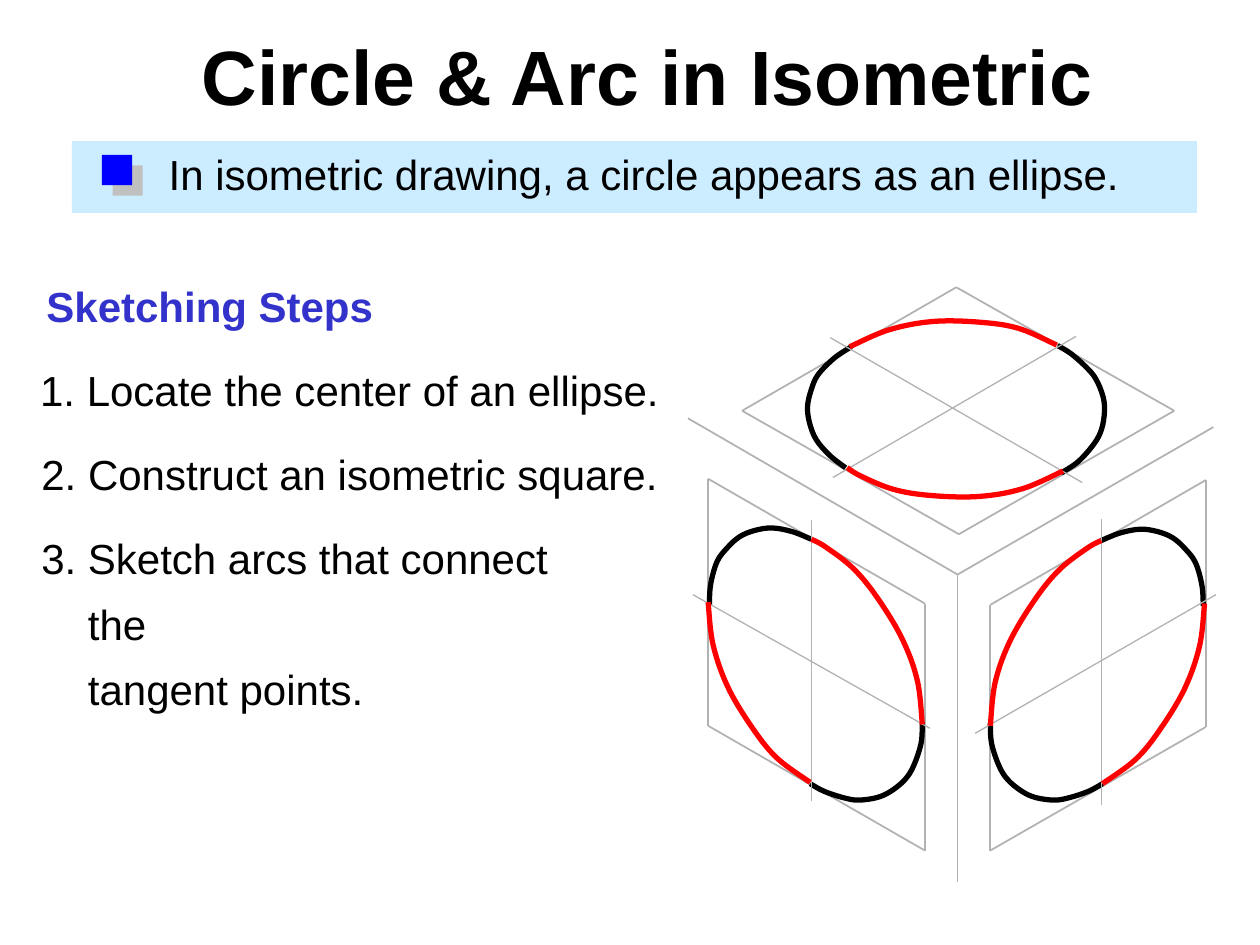
import lxml.etree
import pptx
import pptx.dml.color
import pptx.enum.shapes
import pptx.enum.text
import pptx.oxml
import pptx.oxml.ns
import pptx.util

THEME = {
    "font": "Arial", "title_size": 44, "body_size": 24,
    "black": "000000", "heading": "3333CC", "banner": "CCECFF",
    "bullet": "0000FF", "shadow": "C0C0C0", "grey": "B2B2B2", "red": "FF0000",
    "frame_width": 1, "axis_width": 0.75, "arc_width": 3,
}

# Content; places are in inches: left, top, width, height
TITLE = ("Circle & Arc in Isometric", (1.49, 0.18, 7.3, 0.84))
BANNER = ("In isometric drawing, a circle appears as an ellipse.", (1.24, 1.01, 7.85, 0.62))
HEADING = ("Sketching Steps", (0.27, 2.18, 2.79, 0.5))
STEPS = [
    ("1. Locate the center of an ellipse.", (0.22, 2.84, 5.11, 0.5), {}),
    ("2. Construct an isometric square.", (0.23, 3.51, 5.09, 0.5), {}),
    ("3. Sketch arcs that connect the\vtangent points.", (0.23, 4.06, 4.77, 1.14),
     {"spacing": 1.3, "hanging": 0.37}),
]

# Isometric squares, one per cube face
SQUARES = [
    [(5.62, 3.8), (7.34, 4.79), (7.34, 6.75), (5.62, 5.76)],
    [(9.57, 3.81), (9.57, 5.77), (7.86, 6.75), (7.86, 4.8)],
    [(7.59, 2.28), (9.32, 3.26), (7.61, 4.24), (5.89, 3.26)],
]
CENTER_LINES = [
    ((5.5, 4.72), (7.38, 5.78)), ((6.44, 6.36), (6.44, 4.13)),
    ((8.74, 4.12), (8.74, 6.39)), ((7.74, 5.82), (9.65, 4.72)),
    ((8.59, 3.83), (6.59, 2.68)), ((6.61, 3.79), (8.54, 2.67)),
]
CUBE_EDGES = [((7.6, 4.56), end) for end in [(7.6, 7), (9.63, 3.39), (5.46, 3.32)]]

# Arcs of the right face: knots, then corners on the right, left and top faces
END_ARCS = [
    ([(8.75, 6.22), (8.64, 6.28), (8.49, 6.33), (8.37, 6.35), (8.22, 6.33), (8.11, 6.28),
      (8, 6.19), (7.93, 6.08), (7.87, 5.9), (7.86, 5.74)],
     [(7.86, 5.74), (6.43, 5.74), (8.02, 2.91)]),
    ([(8.74, 4.29), (8.89, 4.23), (9.05, 4.2), (9.19, 4.22), (9.31, 4.27), (9.41, 4.36),
      (9.49, 4.47), (9.54, 4.65), (9.55, 4.81)],
     [(8.74, 4.2), (5.63, 4.19), (6.29, 2.95)]),
]
SIDE_ARCS = [
    ([(7.86, 5.76), (7.9, 5.41), (8.02, 5.08), (8.22, 4.75), (8.41, 4.52), (8.63, 4.35),
      (8.74, 4.29)],
     [(7.86, 4.29), (6.44, 4.28), (7.14, 2.99)]),
    ([(9.56, 4.79), (9.52, 5.13), (9.4, 5.47), (9.2, 5.8), (9.01, 6.03), (8.75, 6.22)],
     [(8.75, 4.79), (5.62, 4.78), (7.16, 2.03)]),
]
TOP_ROTATION = 240


def length(inches):
    return pptx.util.Cm(inches * 2.54)


def color(name):
    return pptx.dml.color.RGBColor.from_string(THEME[name])


def add_text(slide, text, place, *, size="body_size", ink="black", bold=False,
             align="LEFT", wrap=False, spacing=None, hanging=0):
    tf = slide.shapes.add_textbox(*map(length, place)).text_frame
    tf.word_wrap = wrap
    tf.auto_size = pptx.enum.text.MSO_AUTO_SIZE.SHAPE_TO_FIT_TEXT
    p = tf.paragraphs[0]
    p.text = text
    p.alignment = getattr(pptx.enum.text.PP_ALIGN, align)
    if spacing:
        p.line_spacing = spacing
    if hanging:
        pr = p._p.get_or_add_pPr()
        pr.set("marL", str(length(hanging)))
        pr.set("indent", str(-length(hanging)))
    for r in p.runs:
        r.font.name = THEME["font"]
        r.font.size = pptx.util.Pt(THEME[size])
        r.font.bold = bold
        r.font.color.rgb = color(ink)


def add_rect(slide, place, fill):
    sp = slide.shapes.add_shape(pptx.enum.shapes.MSO_SHAPE.RECTANGLE, *map(length, place))
    sp.shadow.inherit = False
    sp.fill.solid()
    sp.fill.fore_color.rgb = color(fill)
    sp.line.fill.background()
    return sp


def add_line(slide, start, end, width):
    line = slide.shapes.add_connector(pptx.enum.shapes.MSO_CONNECTOR.STRAIGHT,
                                      *map(length, start + end))
    line.line.color.rgb = color("grey")
    line.line.width = pptx.util.Pt(THEME[width])
    lxml.etree.SubElement(line._element.spPr, pptx.oxml.ns.qn("a:effectLst"))


def smooth_path(sp):
    """Turn the straight segments of a freeform into curves through its knots."""
    qn = pptx.oxml.ns.qn
    outline = sp._element.find(".//" + qn("a:path"))
    knots = [(int(pt.get("x")), int(pt.get("y"))) for pt in outline.iter(qn("a:pt"))]
    padded = [knots[0]] + knots + [knots[-1]]
    for i, segment in enumerate(outline.findall(qn("a:lnTo"))):
        before, a, b, after = padded[i:i + 4]
        controls = [[u + (v - w) / 6 for u, v, w in zip(a, b, before)],
                    [u - (v - w) / 6 for u, v, w in zip(b, after, a)], b]
        curve = lxml.etree.Element(qn("a:cubicBezTo"))
        for x, y in controls:
            lxml.etree.SubElement(curve, qn("a:pt"), x=str(round(x)), y=str(round(y)))
        outline.replace(segment, curve)


def add_arc(slide, knots, corner, ink, mirrored=False, rotation=0):
    if mirrored:
        knots = [(-x, y) for x, y in knots]
    points = [(length(x), length(y)) for x, y in knots]
    builder = slide.shapes.build_freeform(*points[0], scale=1.0)
    builder.add_line_segments(points[1:], close=False)
    sp = builder.convert_to_shape()
    sp.left, sp.top = map(length, corner)
    sp.rotation = rotation
    sp.shadow.inherit = False
    sp.fill.background()
    sp.line.color.rgb = color(ink)
    sp.line.width = pptx.util.Pt(THEME["arc_width"])
    smooth_path(sp)


def add_arcs(slide, arcs, ink):
    for knots, (right, left, top) in arcs:
        add_arc(slide, knots, right, ink)
        add_arc(slide, knots, left, ink, mirrored=True)
        add_arc(slide, knots, top, ink, rotation=TOP_ROTATION)


def add_bullet(slide):
    sp = add_rect(slide, (0.81, 1.23, 0.24, 0.24), "bullet")
    qn = pptx.oxml.ns.qn
    effects = sp._element.spPr.find(qn("a:effectLst"))
    shadow = lxml.etree.SubElement(effects, qn("a:outerShdw"), dist=str(pptx.util.Pt(8.5)),
                                   dir=str(45 * 60000), algn="ctr", rotWithShape="0")
    lxml.etree.SubElement(shadow, qn("a:srgbClr"), val=THEME["shadow"])


def main():
    prs = pptx.Presentation()
    prs.slide_width, prs.slide_height = pptx.util.Cm(25.4), pptx.util.Cm(19.05)
    slide = prs.slides.add_slide(prs.slide_layouts[6])

    # Isometric squares and the ends of the ellipses
    for corners in SQUARES:
        for start, end in zip(corners, corners[1:] + corners[:1]):
            add_line(slide, start, end, "frame_width")
    add_arcs(slide, END_ARCS, "black")

    # Banner and title
    add_rect(slide, (0.57, 1.12, 8.93, 0.57), "banner")
    add_text(slide, *TITLE, size="title_size", bold=True, align="CENTER")

    # Center lines, cube edges and the long sides of the ellipses
    for start, end in CENTER_LINES:
        add_line(slide, start, end, "axis_width")
    for start, end in CUBE_EDGES:
        add_line(slide, start, end, "frame_width")
    add_arcs(slide, SIDE_ARCS, "red")

    # Banner text and sketching steps
    add_text(slide, *BANNER, wrap=True, spacing=1.3)
    add_bullet(slide)
    add_text(slide, *HEADING, ink="heading", bold=True)
    for text, place, options in STEPS:
        add_text(slide, text, place, **options)

    prs.save("out.pptx")


if __name__ == "__main__":
    main()
